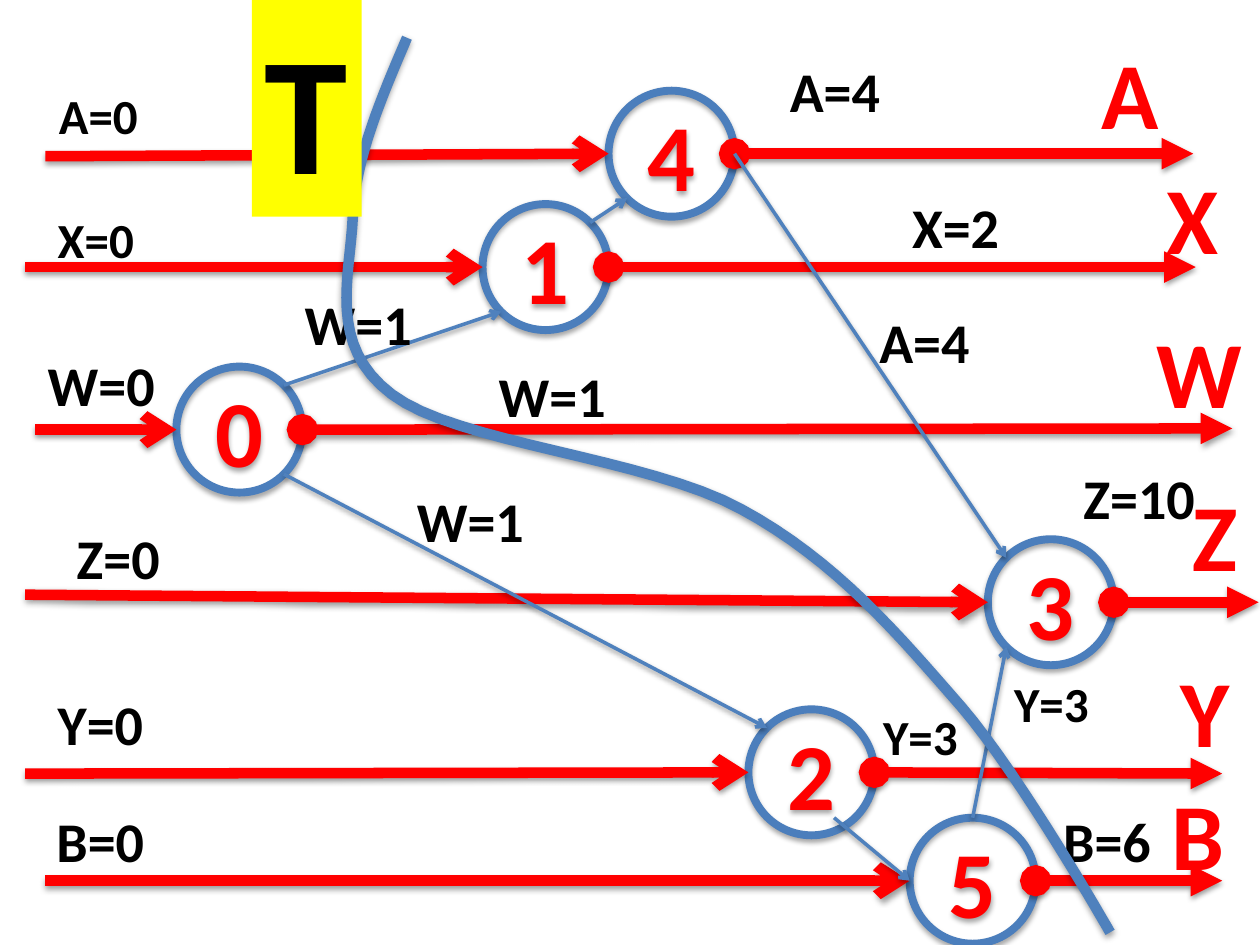
from math import cos, radians, sin

from lxml import etree
from pptx import Presentation
from pptx.dml.color import RGBColor
from pptx.enum.shapes import MSO_CONNECTOR, MSO_SHAPE
from pptx.enum.text import MSO_ANCHOR, MSO_AUTO_SIZE, PP_ALIGN
from pptx.oxml.ns import qn
from pptx.util import Inches, Pt

OVAL = MSO_SHAPE.OVAL
STRAIGHT = MSO_CONNECTOR.STRAIGHT
MIDDLE, CENTER = MSO_ANCHOR.MIDDLE, PP_ALIGN.CENTER
FIT_SHAPE = MSO_AUTO_SIZE.SHAPE_TO_FIT_TEXT

RED, BLUE, RING, BLACK, YELLOW = "FF0000", "4F81BD", "4B7EBC", "000000", "FFFF00"
RADIUS = 0.5


def color(hex_value):
    return RGBColor.from_string(hex_value)


class Diagram:
    font = "Calibri"

    def __init__(self, slide):
        self.shapes = slide.shapes

    def shadow(self, shape, distance=1.6, opacity=38):
        properties = shape._element.spPr
        effects = properties.find(qn("a:effectLst"))
        if effects is None:
            effects = etree.SubElement(properties, qn("a:effectLst"))
        outer = etree.SubElement(
            effects, qn("a:outerShdw"), blurRad=str(Pt(3.1)),
            dist=str(Pt(distance)), dir="5400000", rotWithShape="0")
        tint = etree.SubElement(outer, qn("a:srgbClr"), val=BLACK)
        etree.SubElement(tint, qn("a:alpha"), val=str(opacity * 1000))

    def stroke(self, shape, hex_value, width):
        shape.line.color.rgb = color(hex_value)
        shape.line.width = Pt(width)

    def add_text(self, frame, text, size, hex_value):
        run = frame.paragraphs[0].add_run()
        run.text = text
        run.font.name = self.font
        run.font.size = Pt(size)
        run.font.bold = True
        run.font.color.rgb = color(hex_value)

    def node(self, text, x, y):
        circle = self.shapes.add_shape(
            OVAL, Inches(x - RADIUS), Inches(y - RADIUS),
            Inches(2 * RADIUS), Inches(2 * RADIUS))
        circle.fill.background()
        self.stroke(circle, RING, 4.5)
        circle.shadow.inherit = False
        self.shadow(circle, 1.8, 35)
        frame = circle.text_frame
        frame.vertical_anchor = MIDDLE
        frame.paragraphs[0].alignment = CENTER
        self.add_text(frame, text, 54, RED)

    def arrow(self, start, end, hex_value, width, tip, origin=None):
        line = self.shapes.add_connector(
            STRAIGHT, *(Inches(v) for v in (*start, *end)))
        self.stroke(line, hex_value, width)
        outline = line._element.spPr.find(qn("a:ln"))
        if origin:
            etree.SubElement(outline, qn("a:headEnd"), type=origin)
        etree.SubElement(outline, qn("a:tailEnd"), type=tip)
        self.shadow(line)

    def label(self, text, x, y, width, height, size=32, hex_value=BLACK, fill=None):
        box = self.shapes.add_textbox(
            Inches(x), Inches(y), Inches(width), Inches(height))
        if fill:
            box.fill.solid()
            box.fill.fore_color.rgb = color(fill)
        frame = box.text_frame
        frame.word_wrap = False
        frame.auto_size = FIT_SHAPE
        self.add_text(frame, text, size, hex_value)

    def curve(self, start, segments, steps=16):
        points = []
        p0 = start
        for p1, p2, p3 in segments:
            for step in range(1, steps + 1):
                t = step / steps
                weights = ((1 - t) ** 3, 3 * t * (1 - t) ** 2, 3 * t * t * (1 - t), t ** 3)
                points.append(tuple(
                    Inches(sum(w * p[axis] for w, p in zip(weights, (p0, p1, p2, p3))))
                    for axis in (0, 1)))
            p0 = p3
        builder = self.shapes.build_freeform(Inches(start[0]), Inches(start[1]))
        builder.add_line_segments(points, close=False)
        cut = builder.convert_to_shape()
        cut.fill.background()
        self.stroke(cut, BLUE, 6)
        cut.shadow.inherit = False
        self.shadow(cut)


presentation = Presentation()
presentation.slide_width, presentation.slide_height = Inches(10), Inches(7.5)
diagram = Diagram(presentation.slides.add_slide(presentation.slide_layouts[6]))

# Numbered nodes by centre
nodes = {"0": (1.9, 3.41), "3": (8.34, 4.78), "1": (4.33, 2.12),
         "2": (6.44, 6.13), "4": (5.33, 1.22), "5": (7.72, 6.99)}
for number, center in nodes.items():
    diagram.node(number, *center)


def rim(number, angle):
    x, y = nodes[number]
    return x + RADIUS * cos(radians(angle)), y - RADIUS * sin(radians(angle))


# Variable lanes: node, start of the incoming arrow, end of the outgoing arrow
lanes = [
    ("4", (0.36, 1.24), (9.47, 1.22)),
    ("1", (0.2, 2.12), (9.49, 2.12)),
    ("0", (0.28, 3.41), (9.78, 3.4)),
    ("3", (0.2, 4.72), (9.99, 4.78)),
    ("2", (0.2, 6.14), (9.7, 6.14)),
    ("5", (0.36, 6.99), (9.7, 6.99)),
]
for number, start, end in lanes:
    diagram.arrow(start, rim(number, 180), RED, 6, "arrow")
    diagram.arrow(rim(number, 0), end, RED, 6, "triangle", "oval")

# Dependencies between nodes
dependencies = [
    (rim("0", 45), rim("1", 225)),
    (rim("0", -45), rim("2", 135)),
    (rim("4", 0), rim("3", 135)),
    (rim("5", 90), rim("3", 225)),
    (rim("1", 45), rim("4", 225)),
    ((6.62, 6.49), rim("5", 180)),
]
for start, end in dependencies:
    diagram.arrow(start, end, BLUE, 2, "arrow")

# Variable names
names = [("A", 8.64, 0.23, 0.66), ("X", 9.16, 1.22, 0.62), ("W", 9.08, 2.44, 0.89),
         ("Z", 9.37, 3.74, 0.56), ("Y", 9.27, 5.13, 0.6), ("B", 9.2, 6.11, 0.63)]
for name, x, y, width in names:
    diagram.label(name, x, y, width, 1.01, 54, RED)

# Values along the arrows
small_values = [("A=0", 0.37, 0.63, 0.83), ("X=0", 0.36, 1.61, 0.81),
                ("Y=3", 7.95, 5.3, 0.81), ("Y=3", 6.91, 5.56, 0.81)]
for value, x, y, width in small_values:
    diagram.label(value, x, y, width, 0.57, 28)

values = [
    ("W=0", 0.28, 2.73, 1.06), ("Z=0", 0.51, 4.11, 0.87), ("Y=0", 0.36, 5.42, 0.9),
    ("B=0", 0.35, 6.35, 0.9), ("W=1", 2.32, 2.25, 1.06), ("W=1", 3.86, 2.82, 1.06),
    ("W=1", 3.21, 3.81, 1.06), ("A=4", 6.17, 0.4, 0.92), ("X=2", 7.14, 1.48, 0.9),
    ("A=4", 6.88, 2.39, 0.92), ("Z=10", 8.5, 3.63, 1.09), ("B=6", 8.34, 6.35, 0.9),
]
for value, x, y, width in values:
    diagram.label(value, x, y, width, 0.64)

# Time cut and its tag
diagram.curve((3.23, 0.3), [
    ((3.03, 0.77), (2.82, 1.25), (2.8, 1.72)),
    ((2.78, 2.19), (2.59, 2.74), (3.11, 3.13)),
    ((3.62, 3.52), (5.13, 3.63), (5.88, 4.04)),
    ((6.64, 4.45), (7.14, 5.05), (7.63, 5.61)),
    ((8.11, 6.17), (8.81, 7.4), (8.81, 7.4)),
])
diagram.label("T", 2, 0, 0.87, 1.72, 96, BLACK, YELLOW)

presentation.save("out.pptx")
